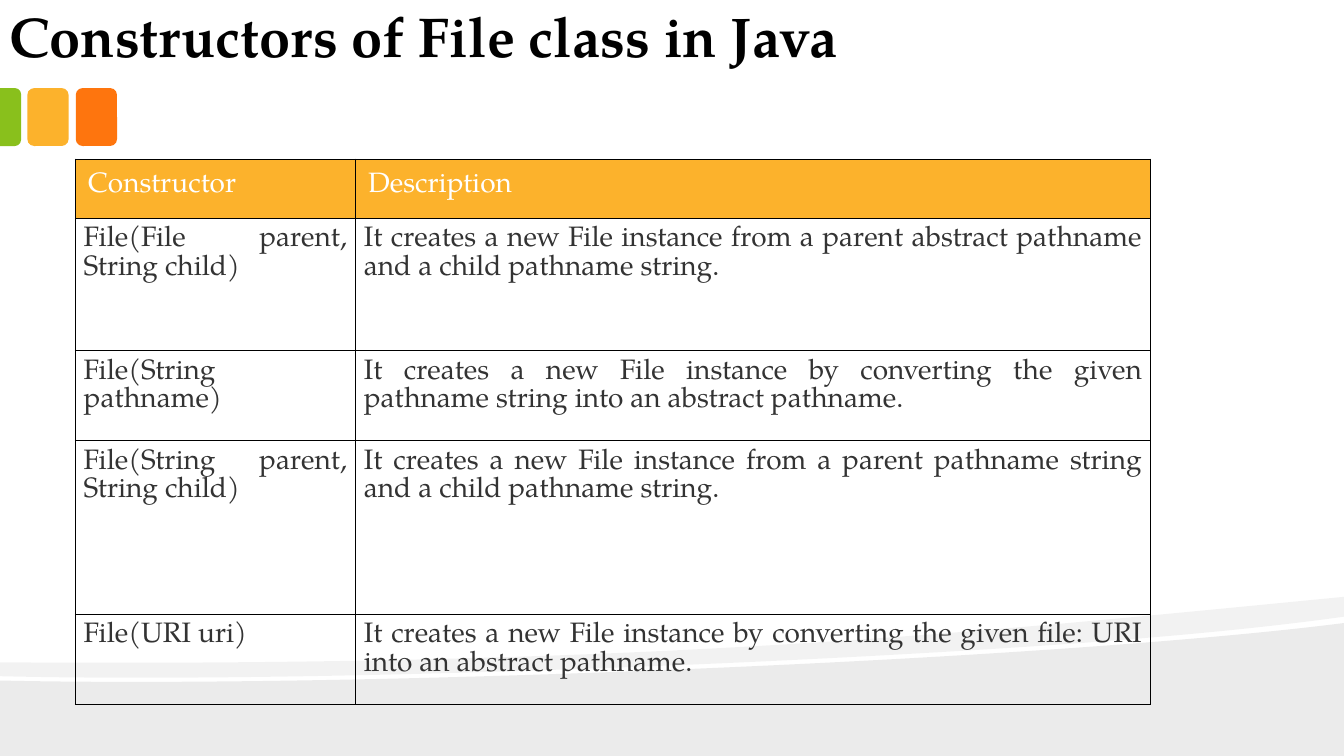
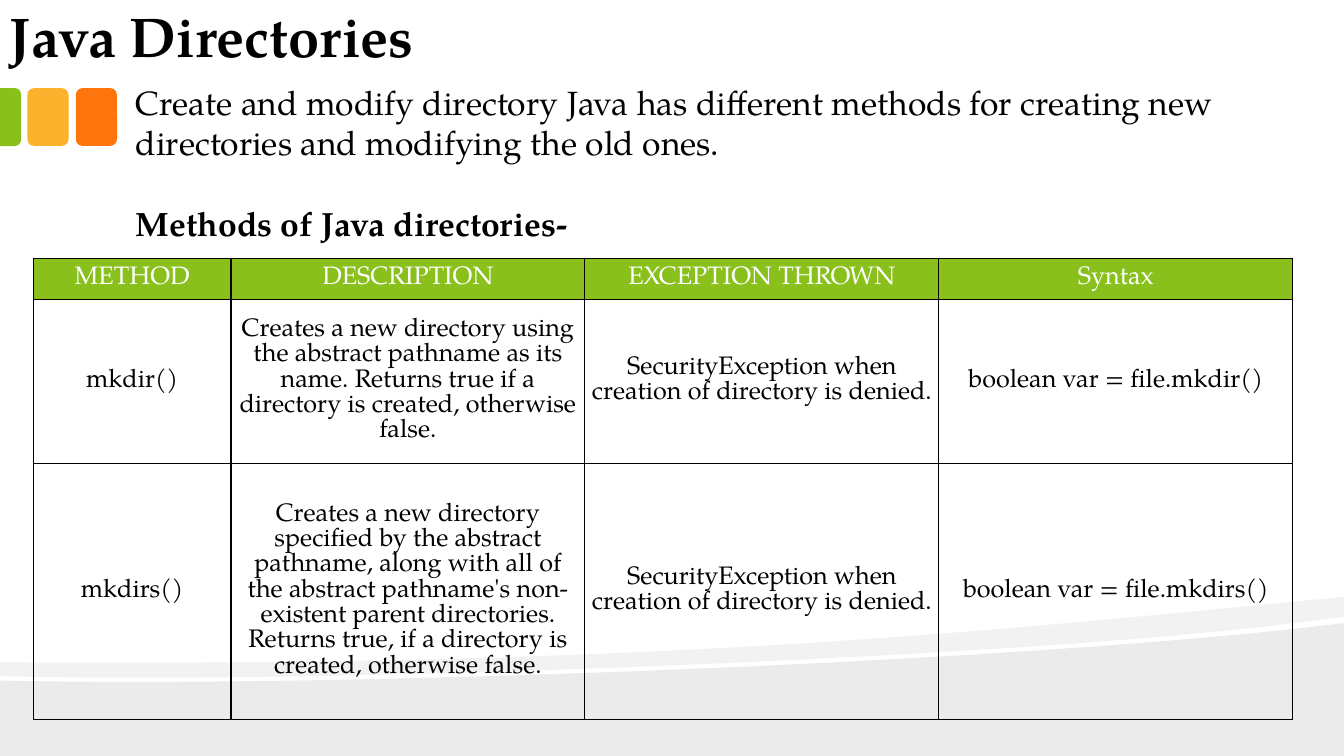
from lxml.etree import SubElement
from pptx import Presentation
from pptx.dml.color import RGBColor
from pptx.enum.shapes import MSO_SHAPE as Shape
from pptx.enum.text import MSO_ANCHOR as Anchor, MSO_AUTO_SIZE as AutoSize, PP_ALIGN as Align
from pptx.oxml import parse_xml
from pptx.oxml.ns import nsdecls, qn
from pptx.util import Cm, Pt

# Content
CONSTRUCTORS_TITLE = "Constructors of File class in Java"
CONSTRUCTORS = [
    ("Constructor", "Description"),
    ("File(File parent, String child)",
     "It creates a new File instance from a parent abstract pathname and a child pathname string."),
    ("File(String pathname)",
     "It creates a new File instance by converting the given pathname string into an abstract pathname."),
    ("File(String parent, String child)",
     "It creates a new File instance from a parent pathname string and a child pathname string."),
    ("File(URI uri)",
     "It creates a new File instance by converting the given file: URI into an abstract pathname."),
]

DIRECTORIES_TITLE = "Java Directories"
INTRO = ("Create and modify directory Java has different methods for creating new directories "
         "and modifying the old ones.")
METHODS_HEADING = "Methods of Java directories-"
DENIED = "SecurityException when creation of directory is denied."
METHODS = [
    ("METHOD", "DESCRIPTION", "EXCEPTION THROWN", "Syntax"),
    ("mkdir()",
     "Creates a new directory using the abstract pathname as its name. "
     "Returns true if a directory is created, otherwise false.",
     DENIED, "boolean var = file.mkdir()"),
    ("mkdirs()",
     "Creates a new directory specified by the abstract pathname, along with all of the abstract "
     "pathname's non-existent parent directories. Returns true, if a directory is created, otherwise false.",
     DENIED, "boolean var = file.mkdirs()"),
]

# Shared look, lengths in centimetres
FONT = "TeX Gyre Pagella"
COLORS = {"black": "000000", "white": "FFFFFF", "text": "333333",
          "green": "89C01C", "amber": "FCB22C", "orange": "FE750E"}
WIDTH, HEIGHT = 33.87, 19.05
CHIP_TOP, CHIP_WIDTH, CHIP_HEIGHT, CHIP_PITCH = 2.22, 1.04, 1.46, 1.22
EDGE_CHIP_WIDTH = 0.53

# Each wave: opacity in percent, start, then line points or Bezier triples
WAVES = [
    (8, (0, 17.15), [
        [(8.94, 17.35), (26.47, 16.64), (WIDTH, 15.7)],
        [(WIDTH, HEIGHT)], [(0, HEIGHT)]]),
    (5, (WIDTH, 15.04), [
        [(WIDTH, 15.54)],
        [(31.88, 15.82), (29.18, 16.08), (26.14, 16.28)],
        [(17.73, 16.84), (6.55, 17.2), (0, 17.04)],
        [(0, 16.69)],
        [(16.56, 16.81), (24.66, 15.93), (WIDTH, 15.04)]]),
]


def rgb(name):
    return RGBColor.from_string(COLORS[name])


def box(*lengths):
    return [Cm(length) for length in lengths]


def paint(shape, color):
    shape.shadow.inherit = False
    shape.fill.solid()
    shape.fill.fore_color.rgb = rgb(color)
    shape.line.fill.background()


def add_run(paragraph, text, size, color="black", bold=False):
    run = paragraph.add_run()
    run.text = text
    run.font.name, run.font.size, run.font.bold = FONT, Pt(size), bold
    run.font.color.rgb = rgb(color)


def add_wave(slide, opacity, start, segments):
    builder = slide.shapes.build_freeform(*box(*start))
    builder.add_line_segments([box(*point) for segment in segments for point in segment])
    wave = builder.convert_to_shape()
    # Turn each triple of line points into one cubic curve and close the outline
    outline = next(wave._element.iter(qn("a:path")))
    lines = iter(outline.findall(qn("a:lnTo")))
    for segment in segments:
        first, *others = [next(lines) for _ in segment]
        if others:
            first.tag = qn("a:cubicBezTo")
        for line in others:
            first.append(line[0])
            outline.remove(line)
    SubElement(outline, qn("a:close"))
    paint(wave, "black")
    color = wave.fill._xPr.find(qn("a:solidFill"))[0]
    SubElement(color, qn("a:alpha")).set("val", str(opacity * 1000))


def add_chips(slide):
    for index, color in ((1, "orange"), (0, "amber")):
        chip = slide.shapes.add_shape(Shape.ROUNDED_RECTANGLE, *box(
            0.69 + index * CHIP_PITCH, CHIP_TOP, CHIP_WIDTH, CHIP_HEIGHT))
        paint(chip, color)
    # The chip at the slide edge is turned, so its frame is placed around its centre
    inset = (CHIP_HEIGHT - EDGE_CHIP_WIDTH) / 2
    chip = slide.shapes.add_shape(Shape.ROUND_2_SAME_RECTANGLE, *box(
        -inset, CHIP_TOP + inset, CHIP_HEIGHT, EDGE_CHIP_WIDTH))
    chip.rotation = 90
    chip.adjustments[0] = 0.29
    paint(chip, "green")


def add_slide(presentation, title):
    slide = presentation.slides.add_slide(presentation.slide_layouts[6])
    for wave in WAVES:
        add_wave(slide, *wave)
    add_chips(slide)
    frame = slide.shapes.add_textbox(*box(-0.09, -0.2, 26.34, 2.11)).text_frame
    frame.word_wrap = True
    frame.vertical_anchor = Anchor.BOTTOM
    frame.margin_left = frame.margin_right = Cm(0.33)
    frame.margin_top = frame.margin_bottom = Cm(0.18)
    add_run(frame.paragraphs[0], title, 40, bold=True)
    return slide


def add_borders(cell):
    properties = cell._tc.get_or_add_tcPr()
    for index, side in enumerate("LRTB"):
        properties.insert(index, parse_xml(
            f'<a:ln{side} {nsdecls("a")} w="12700"><a:solidFill>'
            f'<a:srgbClr val="{COLORS["black"]}"/></a:solidFill></a:ln{side}>'))


def add_grid(slide, rows, corner, widths, heights, size, head_fill, body_color,
             aligns, anchor, margins):
    """aligns and margins hold one value for the header and one for the body."""
    table = slide.shapes.add_table(len(rows), len(widths), *box(
        *corner, sum(widths), sum(heights))).table
    table.first_row = table.horz_banding = False
    for column, width in zip(table.columns, widths):
        column.width = Cm(width)
    for index, (row, height, texts) in enumerate(zip(table.rows, heights, rows)):
        row.height = Cm(height)
        part = min(index, 1)
        for cell, text in zip(row.cells, texts):
            if part == 0:
                cell.fill.solid()
                cell.fill.fore_color.rgb = rgb(head_fill)
            else:
                cell.fill.background()
            add_borders(cell)
            cell.vertical_anchor = anchor
            cell.margin_left = cell.margin_right = Cm(margins[part])
            cell.margin_top = cell.margin_bottom = Cm(margins[part])
            paragraph = cell.text_frame.paragraphs[0]
            paragraph.alignment = aligns[part]
            add_run(paragraph, text, size, ("white", body_color)[part])


def build_constructors(presentation):
    slide = add_slide(presentation, CONSTRUCTORS_TITLE)
    add_grid(slide, CONSTRUCTORS, (1.9, 4.01), [7.06, 20.04], [1.34, 3.34, 2.27, 4.37, 2.27],
             20, "amber", "text", (Align.LEFT, Align.JUSTIFY), Anchor.TOP, (0.32, 0.21))


def build_directories(presentation):
    slide = add_slide(presentation, DIRECTORIES_TITLE)
    frame = slide.shapes.add_textbox(*box(3.17, 1.93, 29.01, 4.37)).text_frame
    frame.word_wrap = True
    frame.auto_size = AutoSize.SHAPE_TO_FIT_TEXT
    add_run(frame.paragraphs[0], INTRO, 24)
    heading = frame.add_paragraph()
    heading.space_before = Pt(28.8)
    add_run(heading, METHODS_HEADING, 24, bold=True)
    add_grid(slide, METHODS, (0.84, 6.52), [4.98] + [8.92] * 3, [1.03, 4.13, 6.45],
             18, "green", "black", (Align.CENTER,) * 2, Anchor.MIDDLE, (0.13,) * 2)


def main():
    presentation = Presentation()
    presentation.slide_width, presentation.slide_height = box(WIDTH, HEIGHT)
    build_constructors(presentation)
    build_directories(presentation)
    presentation.save("out.pptx")


if __name__ == "__main__":
    main()
